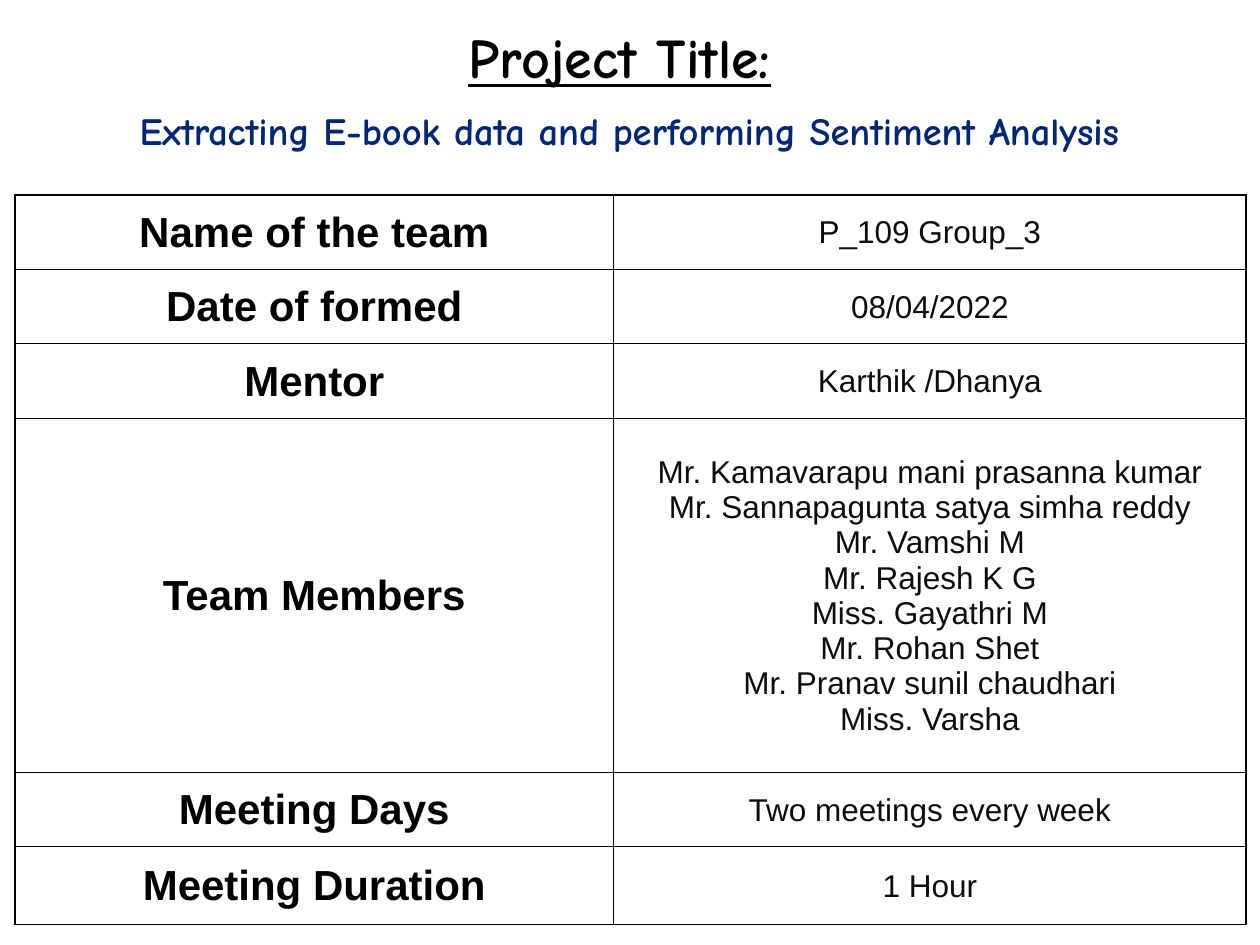
from lxml import etree
from pptx import Presentation
from pptx import util as u
from pptx.dml.color import RGBColor
from pptx.enum import text
from pptx.oxml import ns

COLORS = {"black": "000000", "value": "0C0C0C", "subtitle": "002776"}
MEMBERS = [
    "Mr. Kamavarapu mani prasanna kumar",
    "Mr. Sannapagunta satya simha reddy",
    "Mr. Vamshi M",
    "Mr. Rajesh K G",
    "Miss. Gayathri M",
    "Mr. Rohan Shet",
    "Mr. Pranav sunil chaudhari",
    "Miss. Varsha",
]
# Label, value lines, row height in cm
ROWS = [
    ("Name of the team", ["P_109 Group_3"], 1.5),
    ("Date of formed", ["08/04/2022"], 1.5),
    ("Mentor", ["Karthik /Dhanya"], 1.5),
    ("Team Members", MEMBERS, 7.14),
    ("Meeting Days", ["Two meetings every week"], 1.5),
    ("Meeting Duration", ["1 Hour"], 1.57),
]
COLUMN_WIDTHS = [12.07, 12.75]


def style_font(font, name, size, color, bold):
    font.name = name
    font.size = u.Pt(size)
    font.bold = bold
    font.color.rgb = RGBColor.from_string(COLORS[color])


def add_border(cell, side, width):
    """Draw a black line on one side (L, R, T or B); call in that order."""
    properties = cell._tc.get_or_add_tcPr()
    line = etree.SubElement(properties, ns.qn(f"a:ln{side}"), w=str(u.Pt(width)))
    fill = etree.SubElement(line, ns.qn("a:solidFill"))
    etree.SubElement(fill, ns.qn("a:srgbClr"), val=COLORS["black"])


deck = Presentation()
deck.slide_width = u.Cm(25.4)
deck.slide_height = u.Cm(19.05)
page = deck.slides.add_slide(deck.slide_layouts[6])

# Team details
table = page.shapes.add_table(
    len(ROWS), len(COLUMN_WIDTHS), u.Cm(0.3), u.Cm(3.93),
    u.Cm(sum(COLUMN_WIDTHS)), u.Cm(sum(height for _, _, height in ROWS)),
).table
table.first_row = False
table.horz_banding = False
for column, width in zip(table.columns, COLUMN_WIDTHS):
    column.width = u.Cm(width)

for row, (label, values, height) in enumerate(ROWS):
    table.rows[row].height = u.Cm(height)
    for col, lines in enumerate([[label], values]):
        cell = table.cell(row, col)
        cell.margin_left = cell.margin_right = cell.margin_top = u.Cm(0.02)
        cell.margin_bottom = 0
        cell.vertical_anchor = text.MSO_ANCHOR.MIDDLE
        cell.text_frame.text = "\n".join(lines)
        for para in cell.text_frame.paragraphs:
            para.alignment = text.PP_ALIGN.CENTER
            if col == 0:
                style_font(para.font, "Arial", 24, "black", True)
            else:
                style_font(para.font, "Arial", 18, "value", False)
        outer_sides = {
            "L": col == 0,
            "R": col == len(COLUMN_WIDTHS) - 1,
            "T": row == 0,
            "B": row == len(ROWS) - 1,
        }
        for side, is_outer in outer_sides.items():
            add_border(cell, side, 1 if is_outer else 0.75)
        cell.fill.background()

# Project title
box = page.shapes.add_textbox(u.Cm(0.08), u.Cm(0.33), u.Cm(24.82), u.Cm(3))
frame = box.text_frame
frame.word_wrap = True
frame.auto_size = text.MSO_AUTO_SIZE.SHAPE_TO_FIT_TEXT
heading = frame.paragraphs[0]
subtitle = frame.add_paragraph()
for para in (heading, subtitle):
    para.alignment = text.PP_ALIGN.CENTER
    style_font(para.font, "Comic Neue", 32, "black", True)
heading.font.underline = True
heading.add_run().text = "Project Title:"
subtitle.add_run().text = " "
span = subtitle.add_run()
span.text = "Extracting E-book data and performing Sentiment Analysis"
style_font(span.font, "Comic Neue", 22, "subtitle", True)

deck.save("out.pptx")
